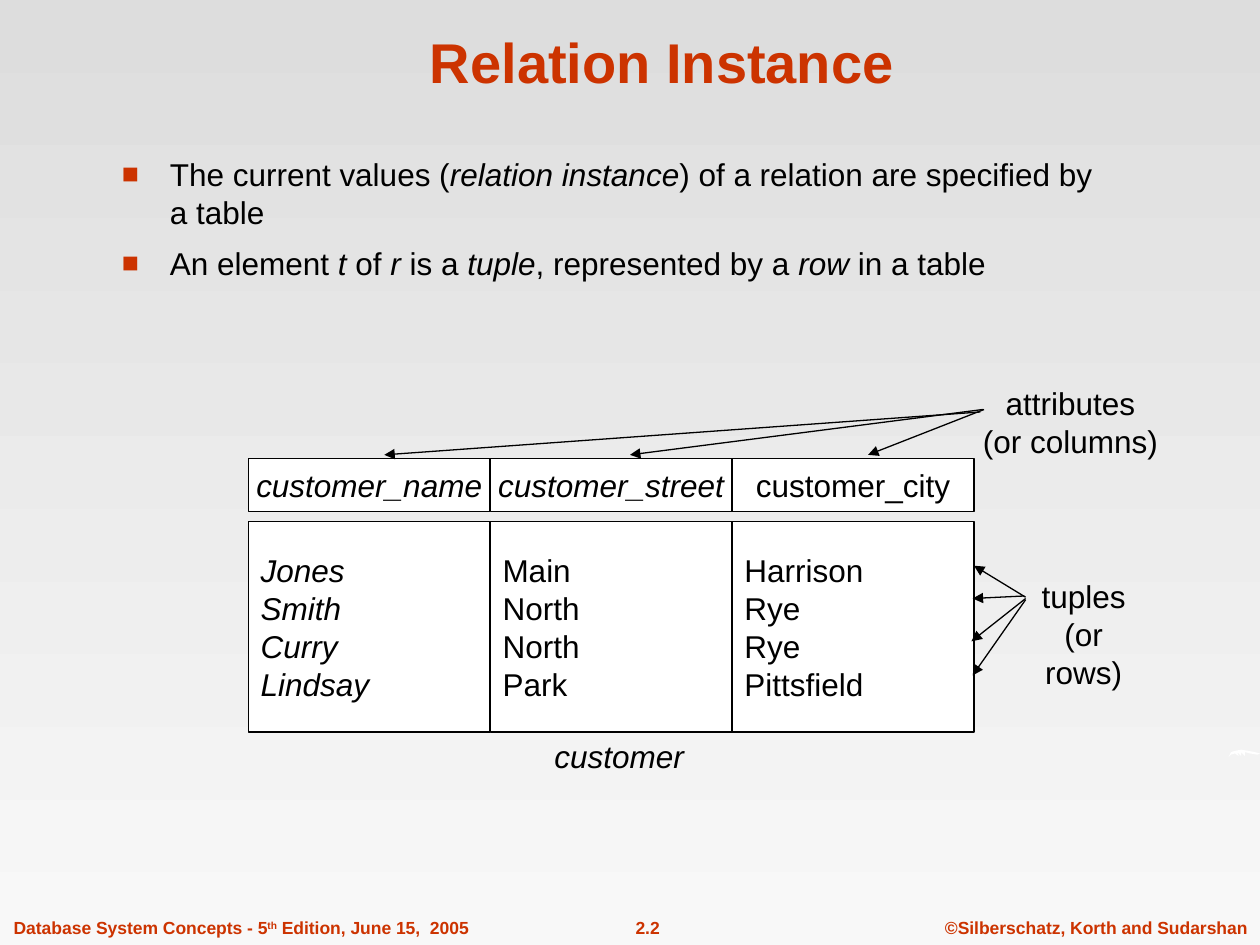
from lxml import etree
from pptx import Presentation
from pptx import util as u
from pptx.dml.color import RGBColor
from pptx.enum import shapes, text
from pptx.oxml.ns import qn

RED = RGBColor(0xCC, 0x33, 0x00)
BLACK = RGBColor(0x00, 0x00, 0x00)
WHITE = RGBColor(0xFF, 0xFF, 0xFF)
GRAY_TOP = RGBColor(0xDD, 0xDD, 0xDD)
GRAY_BOTTOM = RGBColor(0xF8, 0xF8, 0xF8)

LEFT = text.PP_ALIGN.LEFT
CENTER = text.PP_ALIGN.CENTER
TOP = text.MSO_ANCHOR.TOP
MIDDLE = text.MSO_ANCHOR.MIDDLE
BOTTOM = text.MSO_ANCHOR.BOTTOM


class Painter:
    font = "Arial"
    size = 18
    line_width = u.Pt(0.75)

    def __init__(self, page):
        self.page = page

    def background(self, top, bottom):
        fill = self.page.background.fill
        fill.gradient()
        fill.gradient_angle = 270
        for stop, color in zip(fill.gradient_stops, (top, bottom)):
            stop.color.rgb = color

    def set_text(self, box, lines, size=None, color=BLACK, bold=False, align=LEFT,
                 anchor=TOP, before=0, wrap=False, marked="italic"):
        """Fill box with paragraphs; text between asterisks gets the marked style."""
        frame = box.text_frame
        frame.word_wrap = wrap
        frame.vertical_anchor = anchor
        frame.text = "\n".join(lines)
        for para, line in zip(frame.paragraphs, lines):
            para.text = ""
            para.alignment = align
            para.space_before = u.Pt(before)
            for index, part in enumerate(line.split("*")):
                if not part:
                    continue
                span = para.add_run()
                span.text = part
                span.font.name = self.font
                span.font.size = u.Pt(size or self.size)
                span.font.bold = bold
                span.font.color.rgb = color
                if index % 2 and marked == "italic":
                    span.font.italic = True
                elif index % 2:
                    span._r.get_or_add_rPr().set("baseline", "30000")

    def label(self, left, top, width, height, lines, **style):
        box = self.page.shapes.add_textbox(*map(u.Inches, (left, top, width, height)))
        self.set_text(box, lines, **style)
        return box

    def bullets(self, left, top, width, height, lines, **style):
        box = self.label(left, top, width, height, lines, wrap=True, **style)
        for para in box.text_frame.paragraphs:
            props = para._p.get_or_add_pPr()
            props.set("marL", str(u.Inches(0.38)))
            props.set("indent", str(-u.Inches(0.38)))
            color = etree.SubElement(props, qn("a:buClr"))
            etree.SubElement(color, qn("a:srgbClr"), val=str(RED))
            etree.SubElement(props, qn("a:buSzPct"), val="90000")
            etree.SubElement(props, qn("a:buFont"), typeface=self.font)
            etree.SubElement(props, qn("a:buChar"), char="■")

    def cell(self, left, top, width, height, lines, align):
        box = self.page.shapes.add_shape(
            shapes.MSO_SHAPE.RECTANGLE, *map(u.Inches, (left, top, width, height)))
        box.shadow.inherit = False
        box.fill.solid()
        box.fill.fore_color.rgb = WHITE
        box.line.color.rgb = BLACK
        box.line.width = self.line_width
        self.set_text(box, lines, align=align, anchor=MIDDLE)

    def arrow(self, start, end):
        line = self.page.shapes.add_connector(
            shapes.MSO_CONNECTOR.STRAIGHT, *map(u.Inches, (*start, *end)))
        line.line.color.rgb = BLACK
        line.line.width = self.line_width
        etree.SubElement(line.line._get_or_add_ln(), qn("a:tailEnd"), type="triangle")
        etree.SubElement(line._element.spPr, qn("a:effectLst"))

    def outline(self, points, color):
        builder = self.page.shapes.build_freeform(
            *map(u.Inches, points[0]), scale=1.0)
        builder.add_line_segments(
            [(u.Inches(x), u.Inches(y)) for x, y in points[1:]], close=True)
        shape = builder.convert_to_shape()
        shape.shadow.inherit = False
        shape.fill.solid()
        shape.fill.fore_color.rgb = color
        shape.line.fill.background()


def main():
    deck = Presentation()
    deck.slide_width, deck.slide_height = u.Inches(10), u.Inches(7.5)
    painter = Painter(deck.slides.add_slide(deck.slide_layouts[6]))
    painter.background(GRAY_TOP, GRAY_BOTTOM)

    footer = dict(size=10, color=RED, bold=True, before=6.2)
    painter.label(7.4, 7.23, 2.6, 0.27, ["©Silberschatz, Korth and Sudarshan"],
                  align=CENTER, **footer)
    painter.label(4.65, 7.23, 0.98, 0.27, ["2.2"], align=CENTER, **footer)
    painter.label(0.01, 7.23, 3.81, 0.27,
                  ["Database System Concepts - 5*th* Edition, June 15,  2005"],
                  marked="superscript", **footer)

    painter.outline([(9.75, 6.01), (9.77, 5.97), (9.8, 5.96), (9.85, 5.95),
                     (9.91, 5.96), (9.96, 5.97), (10, 5.98), (9.98, 5.99),
                     (9.92, 5.98), (9.88, 5.97), (9.88, 6), (9.85, 5.97),
                     (9.85, 6), (9.82, 5.97), (9.83, 6), (9.8, 5.98),
                     (9.77, 5.99)], WHITE)

    painter.label(0.84, 0.13, 8.83, 0.67, ["Relation Instance"], size=32, color=RED,
                  bold=True, align=CENTER, anchor=BOTTOM, wrap=True)
    painter.bullets(0.87, 1.18, 8.1, 2.16, [
        "The current values (*relation instance*) of a relation are specified by a table",
        "An element *t* of *r* is a *tuple*, represented by a *row *in a table",
    ], before=7.9)

    columns = [
        ("*customer_name*", ["*Jones*", "*Smith*", "*Curry*", "*Lindsay*"]),
        ("*customer_street*", ["Main", "North", "North", "Park"]),
        ("customer_city", ["Harrison", "Rye", "Rye", "Pittsfield"]),
    ]
    column_width = 1.92
    for index, (heading, values) in enumerate(columns):
        left = 1.97 + index * column_width
        painter.cell(left, 4.14, column_width, 1.67, values, LEFT)
        painter.cell(left, 3.64, column_width, 0.42, [heading], CENTER)
    painter.label(4.3, 5.8, 1.23, 0.4, ["*customer*"], align=CENTER,
                  anchor=MIDDLE, before=11.2)

    painter.label(7.7, 3, 1.59, 0.7, ["attributes", "(or columns)"], align=CENTER)
    painter.label(8.01, 4.53, 1.18, 0.7, ["tuples", "(or rows)"], align=CENTER)
    arrows = [
        ((7.78, 3.27), (3.05, 3.61)),
        ((7.8, 3.25), (5, 3.61)),
        ((7.81, 3.25), (6.89, 3.61)),
        ((8.14, 4.74), (7.73, 4.49)),
        ((8.13, 4.73), (7.72, 4.75)),
        ((8.14, 4.75), (7.71, 5.09)),
        ((8.14, 4.76), (7.72, 5.36)),
    ]
    for start, end in arrows:
        painter.arrow(start, end)

    deck.save("out.pptx")


if __name__ == "__main__":
    main()
